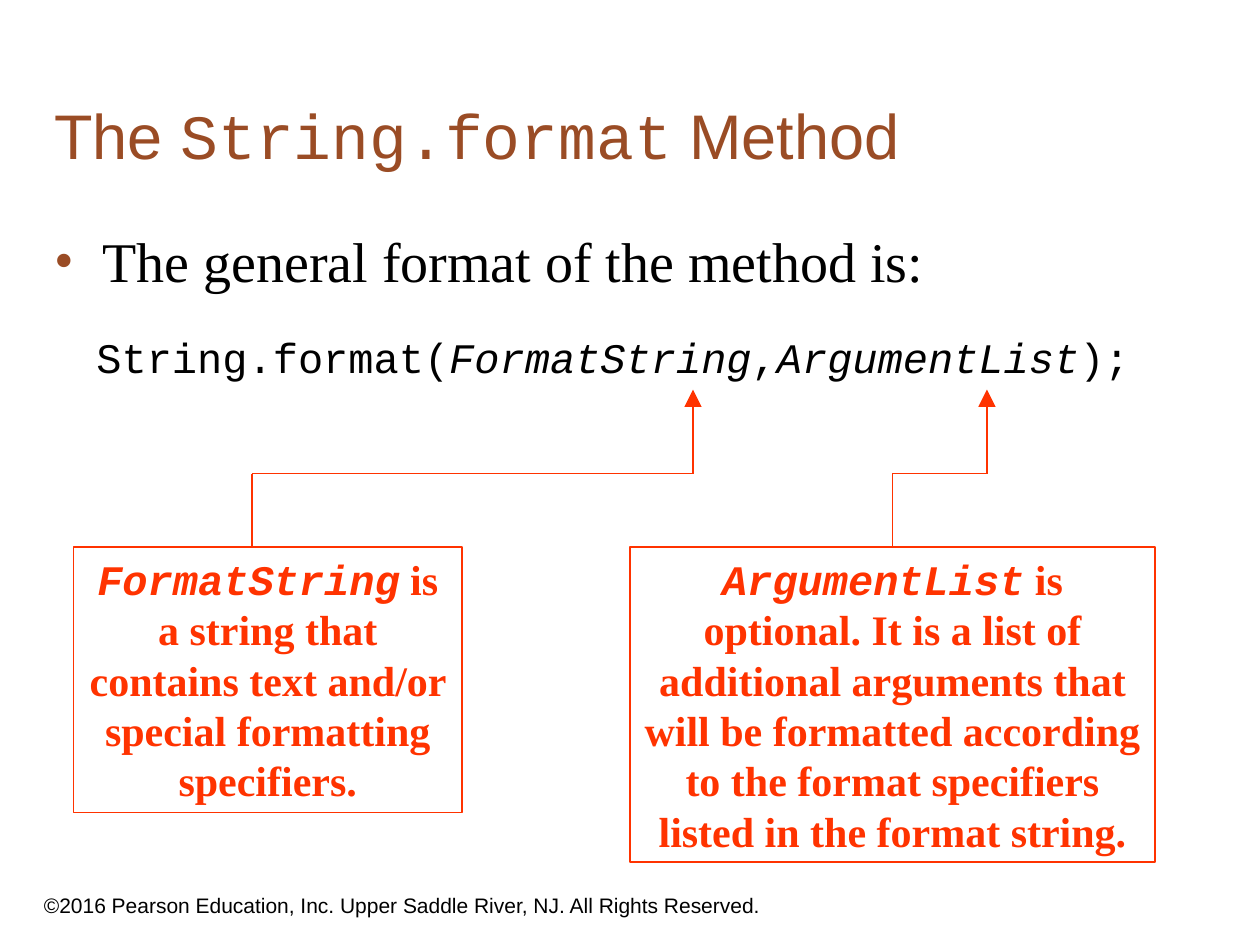
from dataclasses import dataclass

from lxml import etree
from pptx import Presentation
from pptx.dml.color import RGBColor
from pptx.enum.shapes import MSO_CONNECTOR, MSO_SHAPE
from pptx.enum.text import MSO_ANCHOR, PP_ALIGN
from pptx.oxml.ns import qn
from pptx.util import Inches, Pt

STRAIGHT = MSO_CONNECTOR.STRAIGHT
RECTANGLE = MSO_SHAPE.RECTANGLE
TOP, BOTTOM = MSO_ANCHOR.TOP, MSO_ANCHOR.BOTTOM
LEFT, CENTER = PP_ALIGN.LEFT, PP_ALIGN.CENTER
TOP_SIDE = 0
COLUMNS, ROWS = 120, 90
CELL = Inches(10) / COLUMNS


@dataclass(frozen=True)
class Theme:
    title: RGBColor = RGBColor(0x9A, 0x4C, 0x25)
    text: RGBColor = RGBColor(0, 0, 0)
    accent: RGBColor = RGBColor(0xFF, 0x33, 0x00)
    sans: str = "Arial"
    serif: str = "Times New Roman"
    mono: str = "Courier New"
    title_size: int = 36
    body_size: int = 32
    code_size: int = 24
    footer_size: int = 12
    line_width: float = 0.75


@dataclass(frozen=True)
class Area:
    """A rectangle in grid columns and rows."""
    column: float
    row: float
    columns: float
    rows: float

    def lengths(self):
        return [cells(n) for n in (self.column, self.row, self.columns, self.rows)]


@dataclass(frozen=True)
class Run:
    text: str
    font: str
    italic: bool = False


@dataclass(frozen=True)
class Callout:
    area: Area
    term: str
    explanation: str
    stem: float
    target: float


THEME = Theme()
BOX_ROW, BEND_ROW, ARROW_ROW = 52.1, 45.1, 37.1
CALLOUTS = [
    Callout(Area(7, BOX_ROW, 37, 25.25), "FormatString",
            " is a string that contains text and/or special formatting specifiers.",
            stem=24, target=66),
    Callout(Area(60, BOX_ROW, 50, 30), "ArgumentList",
            " is optional. It is a list of additional arguments that will be formatted "
            "according to the format specifiers listed in the format string.",
            stem=85, target=94),
]


def cells(count: float) -> int:
    return round(count * CELL)


def write(shape, runs: list[Run], *, size: float, color: RGBColor, bold: bool = False,
          align=LEFT, anchor=TOP, bullet: RGBColor | None = None) -> None:
    frame = shape.text_frame
    frame.word_wrap = True
    frame.vertical_anchor = anchor
    frame.margin_left = frame.margin_right = Inches(0.1)
    frame.margin_top = frame.margin_bottom = Inches(0.05)
    paragraph = frame.paragraphs[0]
    paragraph.alignment = align
    if bullet is not None:
        add_bullet(paragraph, bullet)
    for item in runs:
        run = paragraph.add_run()
        run.text = item.text
        font = run.font
        font.name, font.size = item.font, Pt(size)
        font.bold, font.italic = bold, item.italic
        font.color.rgb = color


def add_bullet(paragraph, color: RGBColor) -> None:
    properties = paragraph._p.get_or_add_pPr()
    properties.set("marL", str(Inches(0.38)))
    properties.set("indent", str(-Inches(0.38)))
    bullet_color = etree.SubElement(properties, qn("a:buClr"))
    etree.SubElement(bullet_color, qn("a:srgbClr"), val=str(color))
    etree.SubElement(properties, qn("a:buFont"), typeface=THEME.serif)
    etree.SubElement(properties, qn("a:buChar"), char="•")


def add_text(slide, area: Area, runs: list[Run], **text_format) -> None:
    write(slide.shapes.add_textbox(*area.lengths()), runs, **text_format)


def add_line(slide, start: tuple[float, float], end: tuple[float, float],
             arrow: bool = False):
    line = slide.shapes.add_connector(STRAIGHT, *(cells(n) for n in start + end))
    line.line.color.rgb = THEME.accent
    line.line.width = Pt(THEME.line_width)
    if arrow:
        etree.SubElement(line.line._get_or_add_ln(), qn("a:tailEnd"),
                         type="triangle", w="lg", len="lg")
    etree.SubElement(line._element.spPr, qn("a:effectLst"))
    return line


def add_callout(slide, callout: Callout) -> None:
    """Draw the explanation box and its bent arrow up to the code."""
    area = callout.area
    box = slide.shapes.add_shape(RECTANGLE, *area.lengths())
    box.shadow.inherit = False
    box.fill.background()
    box.line.color.rgb = THEME.accent
    box.line.width = Pt(THEME.line_width)
    write(box, [Run(callout.term, THEME.mono, italic=True),
                Run(callout.explanation, THEME.serif)],
          size=THEME.code_size, color=THEME.accent, bold=True, align=CENTER)

    bend, corner = (callout.stem, BEND_ROW), (callout.target, BEND_ROW)
    stem = add_line(slide, (callout.stem, area.row), bend)
    if callout.stem == area.column + area.columns / 2:
        stem.begin_connect(box, TOP_SIDE)
    add_line(slide, bend, corner)
    add_line(slide, corner, (callout.target, ARROW_ROW), arrow=True)


def main() -> None:
    presentation = Presentation()
    presentation.slide_width = cells(COLUMNS)
    presentation.slide_height = cells(ROWS)
    slide = presentation.slides.add_slide(presentation.slide_layouts[6])

    add_text(slide, Area(3, 83, 73, 5),
             [Run("©2016 Pearson Education, Inc. Upper Saddle River, NJ. "
                  "All Rights Reserved.", THEME.sans)],
             size=THEME.footer_size, color=THEME.text, anchor=BOTTOM)
    add_text(slide, Area(4, 4, 113, 13),
             [Run("The ", THEME.sans), Run("String.format", THEME.mono),
              Run(" Method", THEME.sans)],
             size=THEME.title_size, color=THEME.title, anchor=BOTTOM)
    add_text(slide, Area(4, 21, 109, 8),
             [Run("The general format of the method is:", THEME.serif)],
             size=THEME.body_size, color=THEME.text, bullet=THEME.title)
    add_text(slide, Area(8, 31, 102, 5),
             [Run("String.format(", THEME.mono),
              Run("FormatString", THEME.mono, italic=True),
              Run(",", THEME.mono),
              Run("ArgumentList", THEME.mono, italic=True),
              Run(");", THEME.mono)],
             size=THEME.code_size, color=THEME.text)
    for callout in CALLOUTS:
        add_callout(slide, callout)
    presentation.save("out.pptx")


if __name__ == "__main__":
    main()
